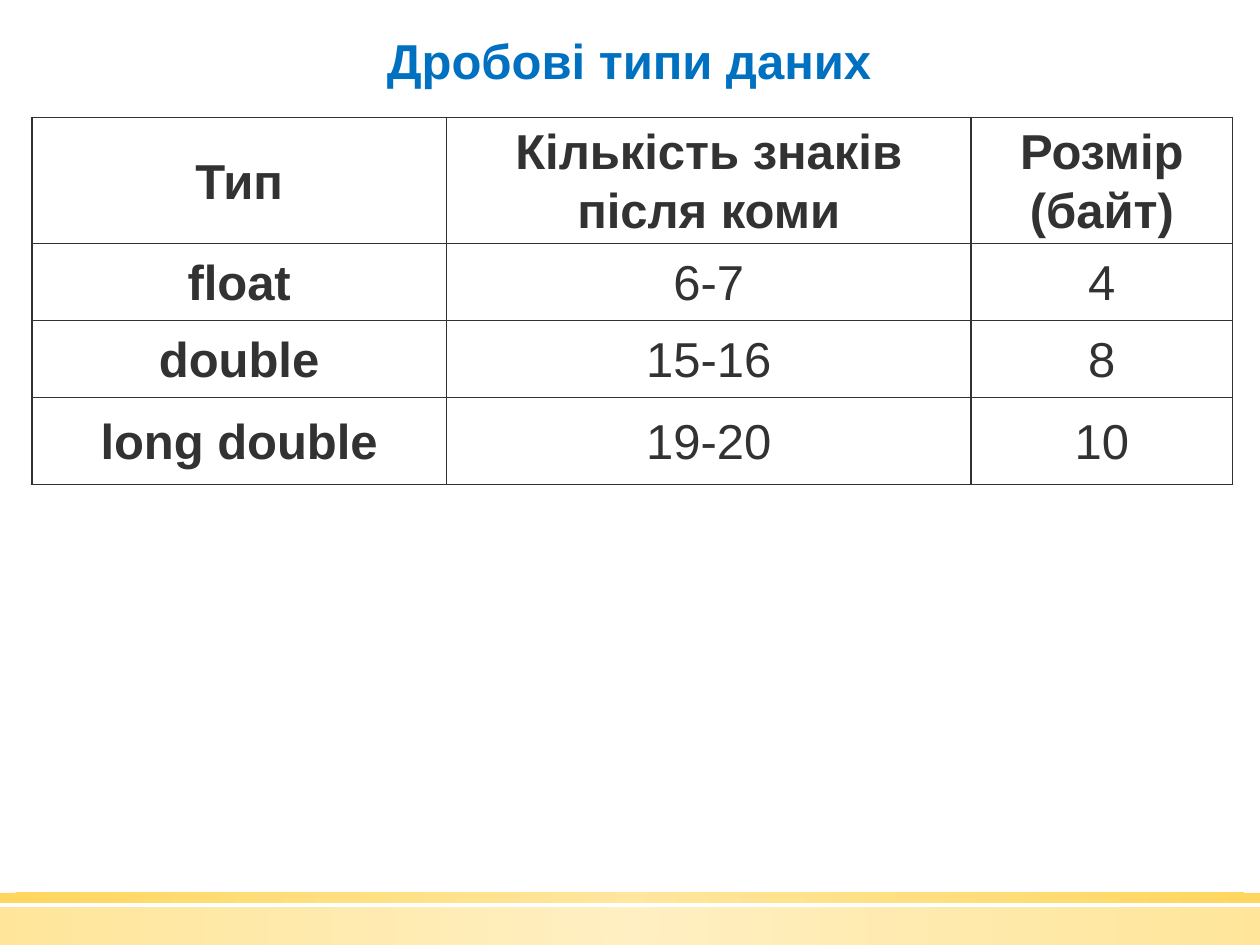
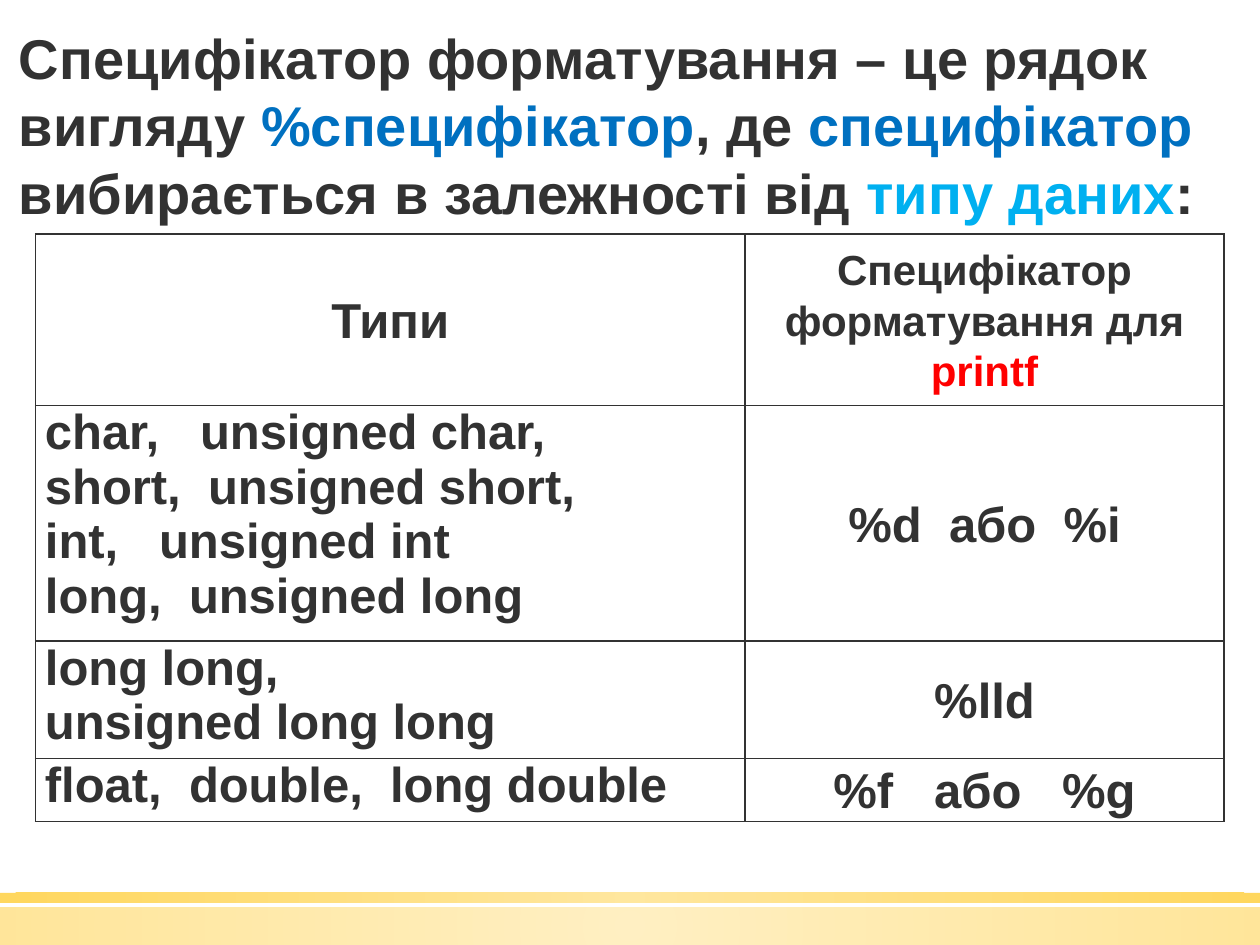
from dataclasses import dataclass

from pptx import Presentation
from pptx.dml.color import RGBColor
from pptx.enum.shapes import MSO_SHAPE
from pptx.enum.text import MSO_ANCHOR, MSO_AUTO_SIZE, PP_ALIGN
from pptx.oxml import parse_xml
from pptx.oxml.ns import nsdecls, qn
from pptx.util import Pt

SLIDE_WIDTH, SLIDE_HEIGHT = 720, 540
FONT_NAME = "Arial"
INK = RGBColor(0x32, 0x32, 0x32)
BLUE = RGBColor(0x00, 0x70, 0xC0)
SKY = RGBColor(0x00, 0xB0, 0xF0)
RED = RGBColor(0xFF, 0x00, 0x00)
BAND_CENTRE = RGBColor(0xFF, 0xE1, 0x86)
BAND_EDGE = RGBColor(0xFF, 0xCD, 0x36)
BREAK = "\n"

CENTRED = {"alignment": PP_ALIGN.CENTER, "line_spacing": 1.07,
           "space_before": Pt(3), "space_after": Pt(3)}
LEFT = {"alignment": PP_ALIGN.LEFT}


@dataclass
class Run:
    text: str
    colour: RGBColor = INK
    size: int = 28
    bold: bool = True
    spacing: float = 0


DOUBLE_GAP = Run(" ", spacing=7.78)
TRIPLE_GAP = Run(" ", spacing=15.56)


def apply_format(target, values):
    for name, value in values.items():
        setattr(target, name, value)


def write_paragraph(paragraph, pieces, paragraph_format):
    apply_format(paragraph, paragraph_format)
    for piece in pieces:
        if piece == BREAK:
            paragraph.add_line_break()
            continue
        part = Run(piece) if isinstance(piece, str) else piece
        run = paragraph.add_run()
        run.text = part.text
        apply_format(run.font, {"name": FONT_NAME, "size": Pt(part.size), "bold": part.bold})
        run.font.color.rgb = part.colour
        if part.spacing:
            run.font._element.set("spc", str(round(part.spacing * 100)))


def add_band(slide, top, height, opacity):
    shape = slide.shapes.add_shape(MSO_SHAPE.RECTANGLE, 0, Pt(top), Pt(SLIDE_WIDTH), Pt(height))
    shape.shadow.inherit = False
    shape.line.fill.background()
    shape.fill.gradient()
    stops = "".join(
        f'<a:gs pos="{position}"><a:srgbClr val="{colour}">'
        f'<a:alpha val="{opacity * 1000}"/></a:srgbClr></a:gs>'
        for position, colour in ((0, BAND_CENTRE), (100000, BAND_EDGE)))
    gradient = parse_xml(
        f'<a:gradFill {nsdecls("a")} rotWithShape="1"><a:gsLst>{stops}</a:gsLst>'
        '<a:path path="circle"><a:fillToRect l="50000" t="50000" r="50000" b="50000"/></a:path>'
        '</a:gradFill>')
    properties = shape._element.spPr
    properties.replace(properties.find(qn("a:gradFill")), gradient)


def add_footer_bands(slide):
    add_band(slide, 518.4, SLIDE_HEIGHT - 518.4, 50)
    add_band(slide, 510.2, 5.8, 80)


def add_text(slide, box, pieces, frame_format):
    text_frame = slide.shapes.add_textbox(*map(Pt, box)).text_frame
    apply_format(text_frame, {"auto_size": MSO_AUTO_SIZE.SHAPE_TO_FIT_TEXT, **frame_format})
    write_paragraph(text_frame.paragraphs[0], pieces, LEFT)


def draw_borders(cell):
    properties = cell._tc.get_or_add_tcPr()
    for side in ("lnL", "lnR", "lnT", "lnB"):
        properties.append(parse_xml(
            f'<a:{side} {nsdecls("a")} w="{Pt(1)}"><a:solidFill><a:srgbClr val="{INK}"/>'
            f'</a:solidFill></a:{side}>'))


def fill_cell(cell, paragraphs, inset, centred):
    apply_format(cell, {"margin_left": Pt(inset), "margin_right": Pt(inset),
                        "margin_top": 0, "margin_bottom": 0,
                        "vertical_anchor": MSO_ANCHOR.MIDDLE if centred else MSO_ANCHOR.TOP})
    draw_borders(cell)
    cell.fill.background()
    text_frame = cell.text_frame
    for index, pieces in enumerate(paragraphs):
        paragraph = text_frame.add_paragraph() if index else text_frame.paragraphs[0]
        write_paragraph(paragraph, pieces, CENTRED if centred else LEFT)


def add_grid(slide, corner, widths, heights, rows, inset, is_centred):
    box = (*corner, sum(widths), sum(heights))
    table = slide.shapes.add_table(len(rows), len(widths), *map(Pt, box)).table
    apply_format(table, {"first_row": False, "horz_banding": False})
    for column, width in zip(table.columns, widths):
        column.width = Pt(width)
    for row, height in zip(table.rows, heights):
        row.height = Pt(height)
    for row_index, row in enumerate(rows):
        for column_index, paragraphs in enumerate(row):
            fill_cell(table.cell(row_index, column_index), paragraphs, inset,
                      is_centred(row_index, column_index))


def build_fractional_types(slide):
    add_footer_bands(slide)
    header = [[[title]] for title in ("Тип", "Кількість знаків після коми", "Розмір (байт)")]
    types = (("float", "6-7", "4"), ("double", "15-16", "8"), ("long double", "19-20", "10"))
    rows = [header] + [
        [[[name]], [[Run(digits, bold=False)]], [[Run(size, bold=False)]]]
        for name, digits, size in types]
    add_grid(slide, (18.3, 67), (236.7, 300, 149.2), (72, 44, 44, 49.8), rows, 5,
             lambda row, column: True)
    add_text(slide, (214, 13.7, 294.5, 41), [Run("Дробові типи даних", BLUE)],
             {"word_wrap": False})


def build_format_specifiers(slide):
    add_footer_bands(slide)
    sentence = (("Специфікатор форматування – це рядок вигляду ", INK),
                ("%специфікатор", BLUE), (", де ", INK), ("специфікатор", BLUE),
                (" вибирається в залежності від ", INK), ("типу даних", SKY), (":", INK))
    add_text(slide, (0, 10, SLIDE_WIDTH, 124), [Run(text, colour, 32) for text, colour in sentence],
             {"word_wrap": True, "margin_left": Pt(10.8)})
    rows = [
        [[["Типи"]],
         [[Run("Специфікатор форматування для ", size=24), Run("printf", RED, 24)]]],
        [[["char,", TRIPLE_GAP, "unsigned char,", BREAK,
           "short,", DOUBLE_GAP, "unsigned short,", BREAK,
           "int,", TRIPLE_GAP, "unsigned int"],
          ["long,", DOUBLE_GAP, "unsigned long"]],
         [["%d", DOUBLE_GAP, "або", DOUBLE_GAP, "%i"]]],
        [[["long long,", BREAK, "unsigned long long"]],
         [["%lld"]]],
        [[["float,", DOUBLE_GAP, "double,", DOUBLE_GAP, "long double"]],
         [["%f", TRIPLE_GAP, "або", TRIPLE_GAP, "%g"]]],
    ]
    add_grid(slide, (20.3, 133.8), (405.4, 273.8), (97.9, 134.4, 67, 36), rows, 5.4,
             lambda row, column: row == 0 or column == 1)


def main():
    presentation = Presentation()
    apply_format(presentation, {"slide_width": Pt(SLIDE_WIDTH), "slide_height": Pt(SLIDE_HEIGHT)})
    for build in (build_fractional_types, build_format_specifiers):
        build(presentation.slides.add_slide(presentation.slide_layouts[6]))
    presentation.save("out.pptx")


if __name__ == "__main__":
    main()
